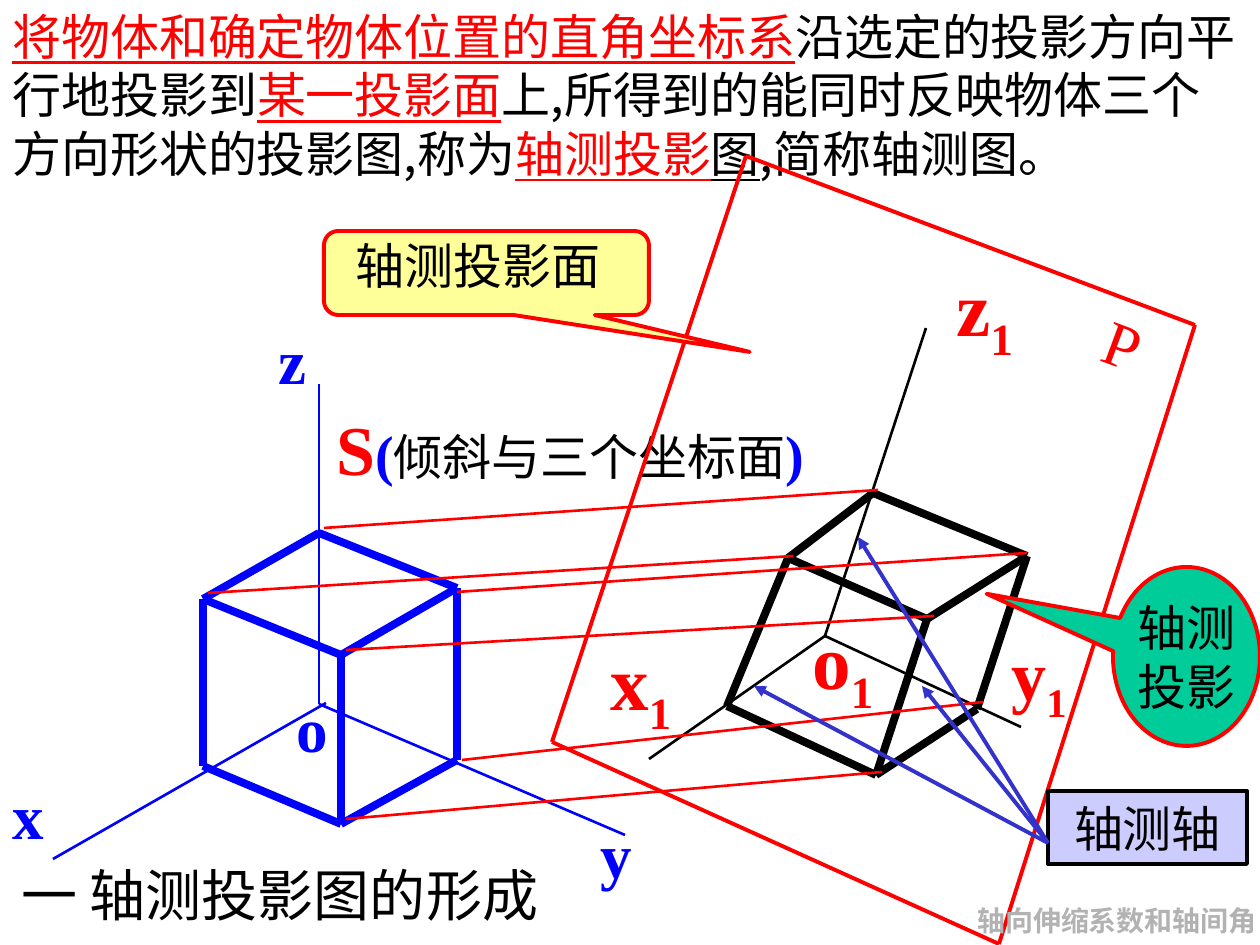
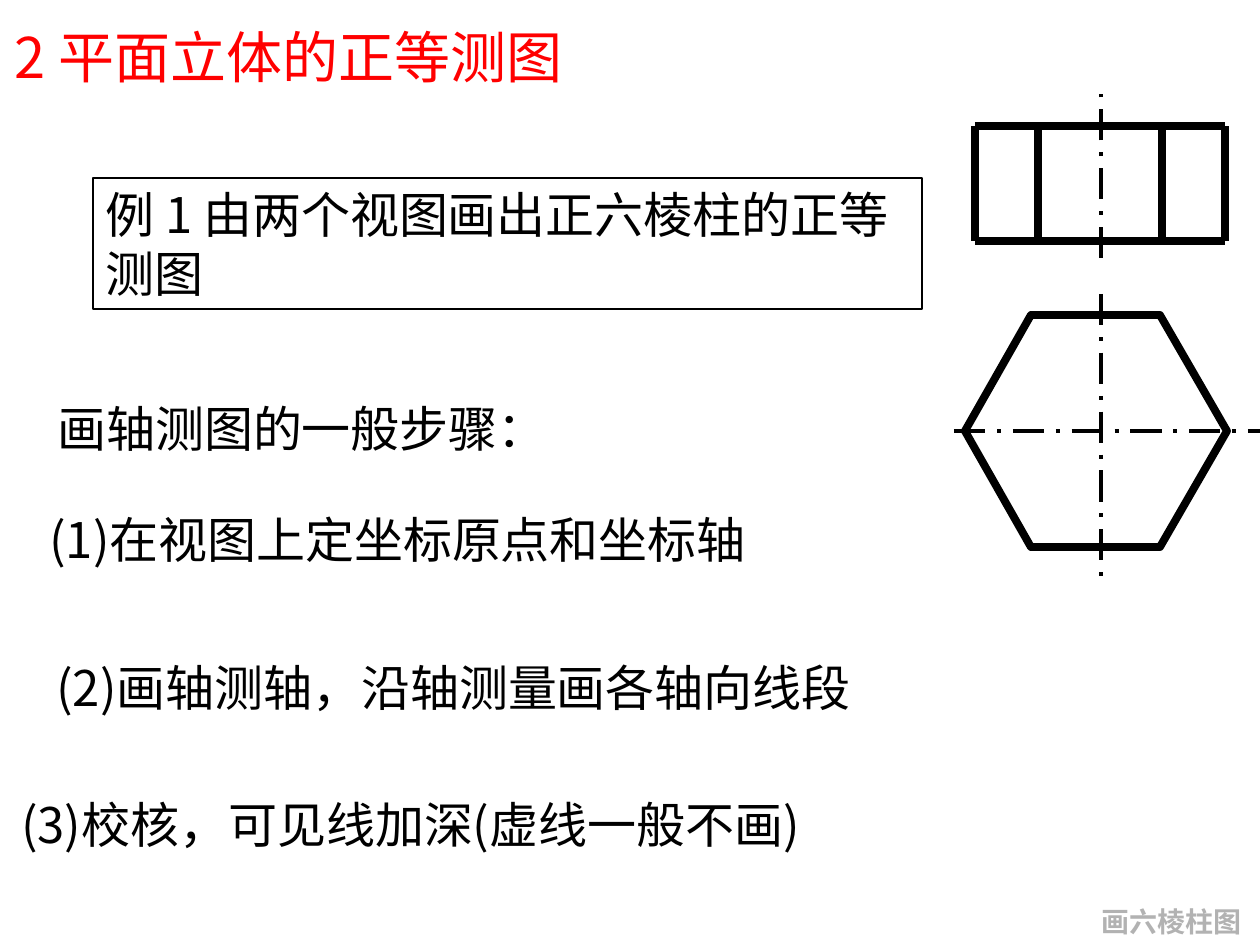
"""Build two slides on axonometric projection and the hexagonal prism."""
from lxml.etree import SubElement
from pptx import Presentation
from pptx.dml.color import RGBColor as RGB
from pptx.enum.dml import MSO_LINE as DASH
from pptx.enum.shapes import MSO_CONNECTOR as LINK, MSO_SHAPE as KIND
from pptx.enum.text import MSO_ANCHOR as ANCHOR, MSO_AUTO_SIZE as FIT, PP_ALIGN as ALIGN
from pptx.oxml.ns import qn
from pptx.util import Pt

PX = 914400 / 126
HUES = {
    "black": "000000", "red": "FF0000", "blue": "0000FF", "navy": "3333CC",
    "grey": "B2B2B2", "cream": "FFFF99", "lilac": "CCCCFF", "green": "00CC99",
}
HAN, TIMES = "Noto Sans CJK SC", "Times New Roman"
LOOKS = {
    "han": {"name": HAN, "bold": False},
    "under": {"name": HAN, "bold": False, "underline": True},
    "times": {"name": TIMES, "bold": False},
    "bold": {"name": TIMES, "bold": True},
    "sub": {"name": TIMES, "bold": True},
}


def write(slide, box, lines, kind=None, fill=None, edge=None, width=2.25,
          wrap=False, align=ALIGN.LEFT, anchor=ANCHOR.TOP):
    """Place a text box or a preset shape holding lines of styled runs."""
    place = [round(v * PX) for v in box]
    if kind is None:
        shape = slide.shapes.add_textbox(*place)
    else:
        shape = slide.shapes.add_shape(kind, *place)
        shape.shadow.inherit = False
        shape.fill.background()
        if fill:
            shape.fill.solid()
            shape.fill.fore_color.rgb = RGB.from_string(HUES[fill])
        shape.line.color.rgb = RGB.from_string(HUES[edge])
        shape.line.width = Pt(width)
    frame = shape.text_frame
    form = {"word_wrap": wrap, "vertical_anchor": anchor,
            "auto_size": FIT.NONE if kind else FIT.SHAPE_TO_FIT_TEXT}
    for key, val in form.items():
        setattr(frame, key, val)
    for i, runs in enumerate(lines):
        para = frame.add_paragraph() if i else frame.paragraphs[0]
        para.alignment = align
        for text, size, hue, look in runs:
            run = para.add_run()
            run.text = text
            for key, val in {**LOOKS[look], "size": Pt(size)}.items():
                setattr(run.font, key, val)
            run.font.color.rgb = RGB.from_string(HUES[hue])
            props = run.font._element
            SubElement(props, qn("a:ea")).set("typeface", HAN)
            if look == "sub":
                props.set("baseline", "-25000")
    return shape


def draw(slide, start, end, hue, width, dash=None, arrow=False):
    """Draw a straight line between two points."""
    ends = [round(v * PX) for v in (*start, *end)]
    link = slide.shapes.add_connector(LINK.STRAIGHT, *ends)
    form = {"width": Pt(width), "dash_style": dash}
    link.line.color.rgb = RGB.from_string(HUES[hue])
    for key, val in form.items():
        setattr(link.line, key, val)
    if arrow:
        SubElement(link.line._get_or_add_ln(), qn("a:tailEnd")).set("type", "triangle")
    SubElement(link._element.spPr, qn("a:effectLst"))


deck = Presentation()
deck.slide_width, deck.slide_height = round(1260 * PX), round(945 * PX)
blank = deck.slide_layouts[6]
first, second = [deck.slides.add_slide(blank) for _ in range(2)]

EDGES = "ab bc cd da bf cg dh fg gh".split()
cube = {"a": (319, 533), "b": (203, 599), "c": (341, 655), "d": (457, 588),
        "f": (203, 766), "g": (341, 824), "h": (457, 760)}
image = {"a": (873, 493), "b": (788, 558), "c": (927, 619), "d": (1027, 556),
         "f": (727, 706), "g": (876, 775), "h": (977, 709)}
for body, hue in ((cube, "blue"), (image, "black")):
    for p, q in EDGES:
        draw(first, body[p], body[q], hue, 4.5)

axes = {
    "blue": [((326, 703), (53, 859)), ((319, 384), (319, 704)), ((319, 704), (625, 835))],
    "black": [((825, 636), (649, 759)), ((825, 636), (1021, 727)), ((926, 328), (825, 636))],
    "red": [((457, 592), (1027, 553)), ((346, 819), (882, 772)), ((462, 760), (983, 702)),
            ((208, 593), (793, 556)), ((346, 650), (934, 616)), ((324, 528), (878, 490))],
}
for hue, links in axes.items():
    for start, end in links:
        draw(first, start, end, hue, 1.5)

for name, x, y in (("o", 284, 683), ("x", 0, 770), ("y", 588, 809), ("z", 266, 315)):
    write(first, (x, y, 64, 88), [[(name, 36, "blue", "bold")]])
for name, x, y, size in (("o", 800, 606, 44), ("x", 598, 627, 44),
                         ("y", 999, 624, 40), ("z", 944, 253, 44)):
    write(first, (x, y, 110, 118),
          [[(name, size, "red", "bold"), ("1", size, "red", "sub")]])

write(first, (324, 399, 540, 97), [[
    ("S", 40, "red", "bold"), ("(", 32, "blue", "bold"),
    ("倾斜与三个坐标面", 28, "black", "han"), (")", 32, "blue", "bold")]])
intro = [
    ("将物体和确定物体位置的直角坐标系", "red", "under"),
    ("沿选定的投影方向平行地投影到", "black", "han"),
    ("某一投影面", "red", "under"),
    ("上,所得到的能同时反映物体三个方向形状的投影图,称为", "black", "han"),
    ("轴测投影", "red", "under"),
    ("图", "black", "under"),
    (",简称轴测图。", "black", "han"),
]
write(first, (0, 0, 1260, 189), [[(t, 28, hue, look) for t, hue, look in intro]], wrap=True)
write(first, (9, 854, 580, 81), [[("一 轴测投影图的形成", 32, "black", "han")]])

plane = [(1195, 325), (746, 156), (552, 742), (999, 944)]
for i, spot in enumerate(plane):
    draw(first, plane[i - 1], spot, "red", 2.25)
write(first, (1094, 299, 60, 88), [[("P", 36, "red", "times")]]).rotation = 20.4

note = write(first, (324, 231, 325, 84), [], KIND.ROUNDED_RECTANGULAR_CALLOUT, "cream", "red")
for i, val in enumerate((0.81, 0.94, 0.17)):
    note.adjustments[i] = val
write(first, (343, 229, 290, 72), [[("轴测投影面", 28, "black", "han")]])

mid = {"align": ALIGN.CENTER, "anchor": ANCHOR.MIDDLE}
write(first, (1048, 791, 199, 73), [[("轴测轴", 28, "black", "han")]],
      KIND.RECTANGLE, "lilac", "black", **mid)
for tip in ((754, 686), (922, 686), (858, 537)):
    draw(first, (1048, 843), tip, "navy", 2.25, arrow=True)
bubble = write(first, (1113, 567, 147, 179),
               [[(t, 28, "black", "han")] for t in ("轴测", "投影")],
               KIND.OVAL_CALLOUT, "green", "red", **mid)
for i, val in enumerate((-1.36, -0.35)):
    bubble.adjustments[i] = val

for slide, box, text in ((first, (974, 897, 286, 47), "轴向伸缩系数和轴间角"),
                         (second, (1089, 898, 165, 47), "画六棱柱图")):
    foot = write(slide, box, [[(text, 16, "grey", "bold")]], align=ALIGN.CENTER)
    for key, val in {"margin_left": 0, "margin_right": 0}.items():
        setattr(foot.text_frame, key, val)

write(second, (2, 16, 630, 81), [[("2 平面立体的正等测图", 32, "red", "han")]])
steps = [
    (45, 392, 540, "画轴测图的一般步骤："),
    (37, 503, 780, "(1)在视图上定坐标原点和坐标轴"),
    (44, 651, 1216, "(2)画轴测轴，沿轴测量画各轴向线段"),
    (9, 788, 905, "(3)校核，可见线加深(虚线一般不画)"),
]
for x, y, w, text in steps:
    write(second, (x, y, w, 72), [[(text, 28, "black", "han")]], wrap=w > 1000)
task = write(second, (93, 178, 829, 131),
             [[("例 1 由两个视图画出正六棱柱的正等测图", 28, "black", "han")]],
             KIND.RECTANGLE, None, "black", 0.75, wrap=True)
task.text_frame.margin_right = round(24 * PX)

hexa = [(1227, 431), (1160, 315), (1031, 315), (965, 431), (1031, 547), (1160, 547)]
path = second.shapes.build_freeform(*hexa[0], scale=PX)
path.add_line_segments(hexa[1:], close=True)
top = path.convert_to_shape()
top.shadow.inherit = False
top.fill.background()
top.line.color.rgb = RGB.from_string(HUES["black"])
top.line.width = Pt(4.5)

for x in (975, 1038, 1162, 1225):
    draw(second, (x, 241), (x, 126), "black", 4.5)
for y in (126, 241):
    draw(second, (975, y), (1225, y), "black", 4.5)
for start, end in (((1101, 294), (1101, 576)), ((954, 431), (1260, 431)),
                   ((1101, 258), (1101, 94))):
    draw(second, start, end, "black", 2.25, DASH.LONG_DASH_DOT)

deck.save("out.pptx")
